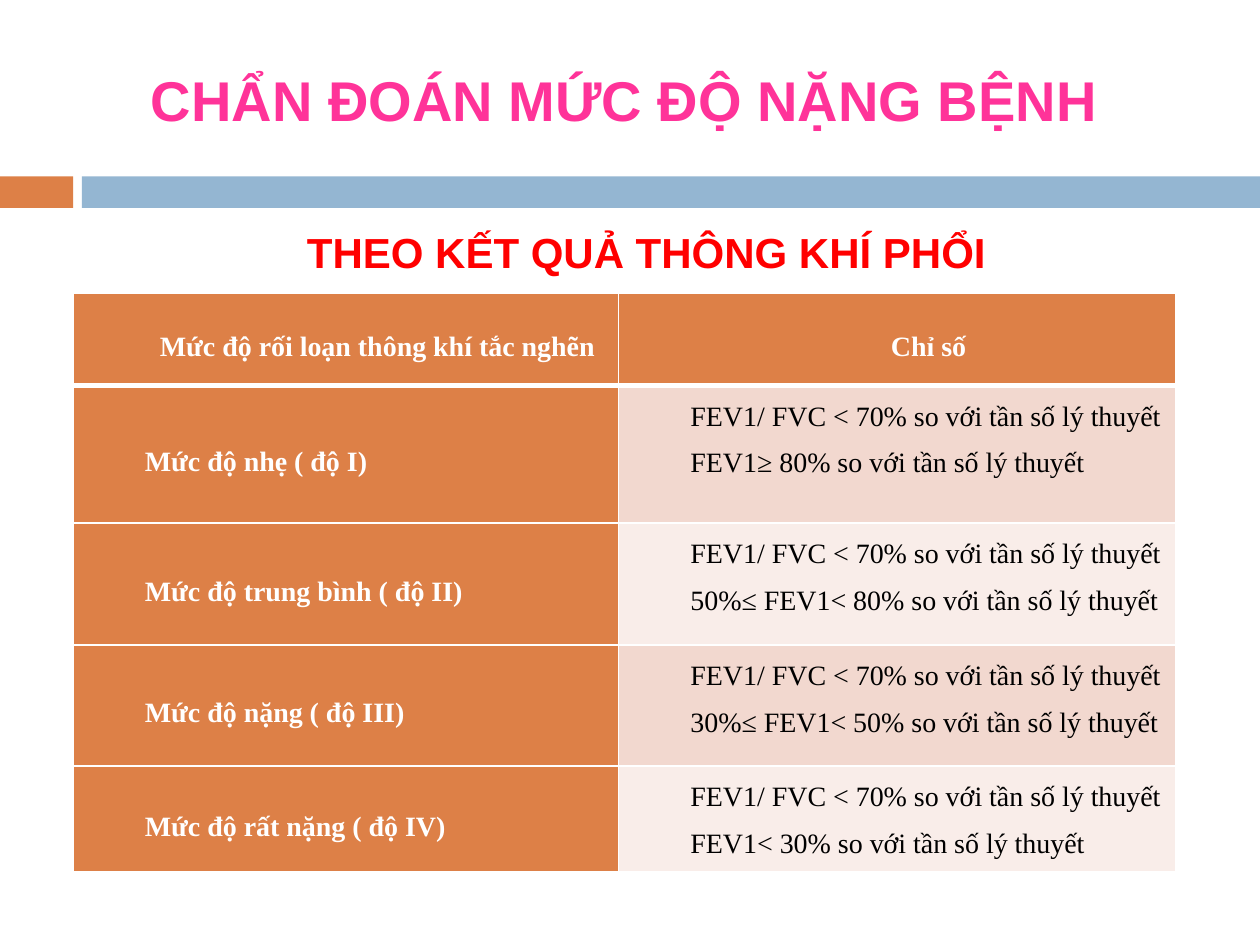
from typing import NamedTuple

from lxml.etree import SubElement
from pptx import Presentation
from pptx.dml.color import RGBColor
from pptx.enum.shapes import MSO_SHAPE
from pptx.enum.text import MSO_ANCHOR as ANCHOR, PP_ALIGN as ALIGN
from pptx.oxml.ns import qn
from pptx.util import Inches, Pt

ORANGE = RGBColor(0xDD, 0x80, 0x47)
BLUE = RGBColor(0x94, 0xB6, 0xD2)
PINK = RGBColor(0xFF, 0x33, 0x99)
RED = RGBColor(0xFF, 0x00, 0x00)
WHITE = RGBColor(0xFF, 0xFF, 0xFF)
BLACK = RGBColor(0x00, 0x00, 0x00)
BAND_FILLS = (RGBColor(0xF2, 0xD8, 0xCF), RGBColor(0xF9, 0xED, 0xE9))

TITLE_FONT = {"name": "Arial", "size": Pt(32), "bold": True}
SUBTITLE_FONT = {"name": "Arial", "size": Pt(24), "bold": True}
LABEL_FONT = {"name": "Times New Roman", "size": Pt(16), "bold": True}
VALUE_FONT = {**LABEL_FONT, "bold": False}
CELL_FORMAT = {"margin_left": Inches(0.07), "margin_right": Inches(0.07),
               "margin_top": 0, "margin_bottom": 0}


class Bar(NamedTuple):
    left: float
    width: float
    color: RGBColor


class Severity(NamedTuple):
    label: str
    fev1: str
    height: float


BARS = (Bar(0, 0.58, ORANGE), Bar(0.65, 9.35, BLUE))
HEADERS = ("Mức độ rối loạn thông khí tắc nghẽn", "Chỉ số")
HEADER_HEIGHT = 0.73
COL_WIDTHS = (4.33, 4.42)
REFERENCE = "so với tần số lý thuyết"
RATIO = f"FEV1/ FVC < 70% {REFERENCE}"
SEVERITIES = (
    Severity("Mức độ nhẹ ( độ I)", "FEV1≥ 80%", 1.09),
    Severity("Mức độ trung bình ( độ II)", "50%≤ FEV1< 80%", 0.97),
    Severity("Mức độ nặng ( độ III)", "30%≤ FEV1< 50%", 0.96),
    Severity("Mức độ rất nặng ( độ IV)", "FEV1< 30%", 0.84),
)


def apply(target, values: dict) -> None:
    for name, value in values.items():
        setattr(target, name, value)


def write(tf, lines: tuple, font: dict, color: RGBColor, align) -> None:
    for i, line in enumerate(lines):
        p = tf.add_paragraph() if i else tf.paragraphs[0]
        p.alignment = align
        r = p.add_run()
        r.text = line
        apply(r.font, font)
        r.font.color.rgb = color


def place(sp, left: float, top: float, width: float, height: float) -> None:
    apply(sp, {"left": Inches(left), "top": Inches(top),
               "width": Inches(width), "height": Inches(height)})


def draw_bar(s, bar: Bar) -> None:
    sp = s.shapes.add_shape(MSO_SHAPE.RECTANGLE, Inches(bar.left), Inches(1.4),
                            Inches(bar.width), Inches(0.25))
    sp.shadow.inherit = False
    sp.fill.solid()
    sp.fill.fore_color.rgb = bar.color
    sp.line.fill.background()


def set_borders(cell, top: float = 1, bottom: float = 1) -> None:
    tcPr = cell._tc.get_or_add_tcPr()
    widths = {"a:lnL": 1, "a:lnR": 1, "a:lnT": top, "a:lnB": bottom}
    for tag, width in widths.items():
        ln = SubElement(tcPr, qn(tag), w=str(Pt(width)))
        fill = SubElement(ln, qn("a:solidFill"))
        SubElement(fill, qn("a:srgbClr"), val=str(WHITE))


def fill_cell(cell, lines: tuple, font: dict, color: RGBColor, align, anchor,
              fill: RGBColor, **borders: float) -> None:
    apply(cell, {**CELL_FORMAT, "vertical_anchor": anchor})
    write(cell.text_frame, lines, font, color, align)
    for p in cell.text_frame.paragraphs:
        p.line_spacing = 1.5
        pPr = p._p.get_or_add_pPr()
        pPr.set("marL", str(Inches(0.5)))
        pPr.set("indent", "0")
    set_borders(cell, **borders)
    cell.fill.solid()
    cell.fill.fore_color.rgb = fill


def draw_table(s) -> None:
    heights = (HEADER_HEIGHT, *(sev.height for sev in SEVERITIES))
    table = s.shapes.add_table(len(heights), len(COL_WIDTHS), Inches(0.58), Inches(2.33),
                               Inches(sum(COL_WIDTHS)), Inches(sum(heights))).table
    for col, width in zip(table.columns, COL_WIDTHS):
        col.width = Inches(width)
    for row, height in zip(table.rows, heights):
        row.height = Inches(height)

    for c, header in enumerate(HEADERS):
        fill_cell(table.cell(0, c), (header,), LABEL_FONT, WHITE, ALIGN.CENTER,
                  ANCHOR.MIDDLE, ORANGE, bottom=3)
    for i, sev in enumerate(SEVERITIES):
        top = 1 if i else 3
        fill_cell(table.cell(i + 1, 0), (sev.label,), LABEL_FONT, WHITE, ALIGN.LEFT,
                  ANCHOR.MIDDLE, ORANGE, top=top)
        fill_cell(table.cell(i + 1, 1), (RATIO, f"{sev.fev1} {REFERENCE}"), VALUE_FONT,
                  BLACK, ALIGN.JUSTIFY, ANCHOR.TOP, BAND_FILLS[i % 2], top=top)


def main() -> None:
    prs = Presentation()
    prs.slide_width, prs.slide_height = Inches(10), Inches(7.5)
    s = prs.slides.add_slide(prs.slide_layouts[5])

    # Divider bars
    for bar in BARS:
        draw_bar(s, bar)

    # Title
    title = s.shapes.title
    place(title, 0.33, 0.25, 9.25, 1.08)
    title.text_frame.vertical_anchor = ANCHOR.MIDDLE
    write(title.text_frame, ("CHẨN ĐOÁN MỨC ĐỘ NẶNG BỆNH",), TITLE_FONT, PINK, ALIGN.CENTER)

    # Subtitle
    box = s.shapes.add_textbox(0, 0, 0, 0)
    place(box, 0.67, 1.75, 8.92, 4.92)
    box.text_frame.word_wrap = True
    write(box.text_frame, ("THEO KẾT QUẢ THÔNG KHÍ PHỔI",), SUBTITLE_FONT, RED, ALIGN.CENTER)

    # Severity table
    draw_table(s)
    prs.save("out.pptx")


if __name__ == "__main__":
    main()
